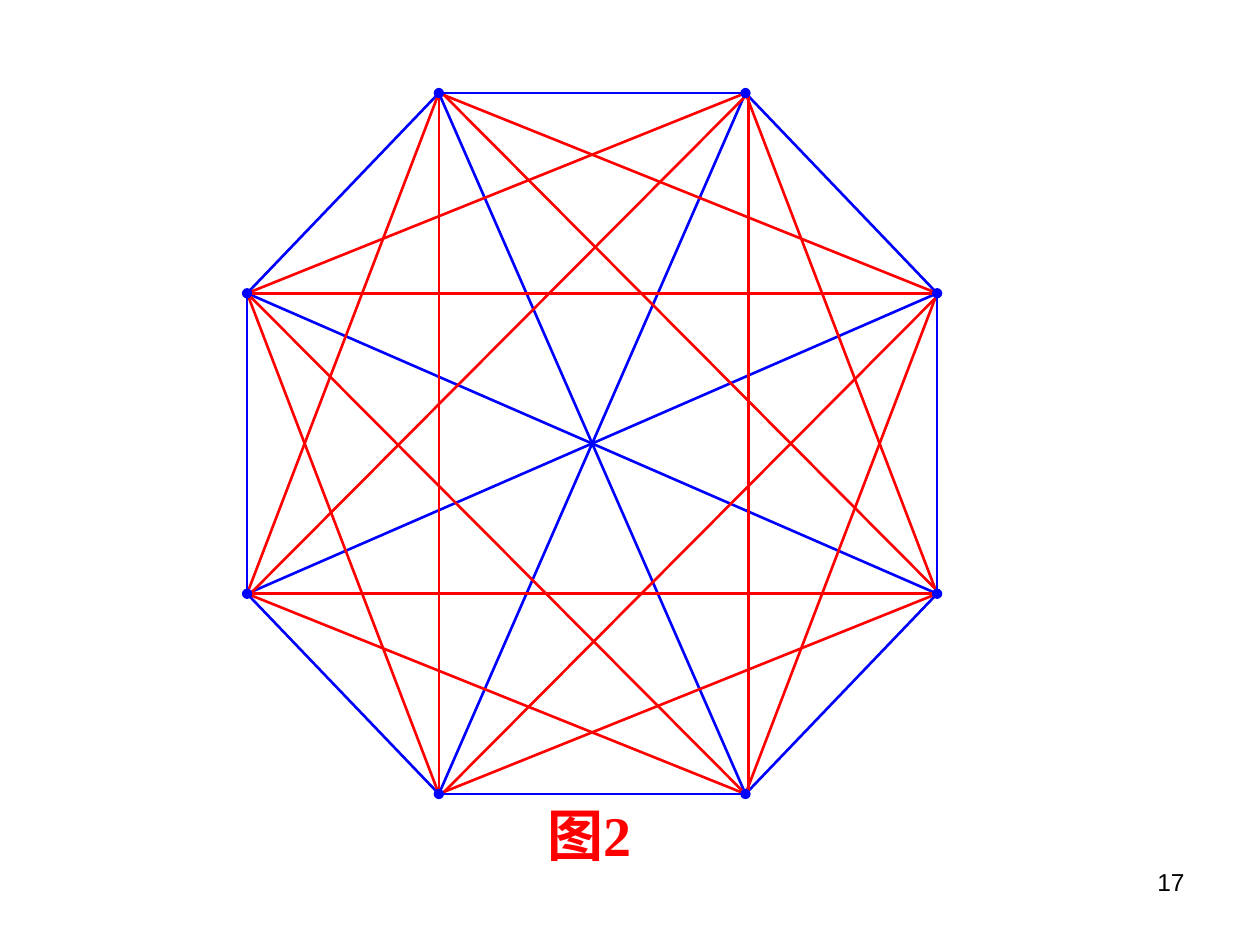
from itertools import combinations

from lxml import etree
from pptx import Presentation
from pptx.dml.color import RGBColor
from pptx.enum import shapes, text
from pptx.oxml import ns
from pptx.util import Pt

COLORS = {"blue": "0000FF", "red": "FF0000", "black": "000000"}
X = (141.2, 250.8, 426, 535.5)
Y = (53.2, 167.6, 339.3, 453.7)
VERTICES = [(X[column], Y[row]) for column, row in
            ((1, 0), (2, 0), (3, 1), (3, 2), (2, 3), (1, 3), (0, 2), (0, 1))]
SHIFTED_CHORDS = {(0, 3), (1, 4), (1, 6), (2, 5), (2, 7)}
SHIFT = 1.8


def add_edge(container, start, end, color, dotted=False):
    """Draw one graph edge, with round vertex dots at its ends if dotted."""
    edge = container.add_connector(shapes.MSO_CONNECTOR.STRAIGHT,
                                   *(Pt(value) for value in (*start, *end)))
    edge.line.color.rgb = RGBColor.from_string(COLORS[color])
    edge.line.width = Pt(1.5)
    if dotted:
        line = edge.line._get_or_add_ln()
        for tag in ("a:headEnd", "a:tailEnd"):
            etree.SubElement(line, ns.qn(tag), type="oval", w="med", len="med")
    etree.SubElement(edge._element.spPr, ns.qn("a:effectLst"))


def add_label(container, box, wording, font, size, color, alignment, bold=False):
    """Add a one-line text box."""
    label = container.add_textbox(*(Pt(value) for value in box))
    label.text_frame.word_wrap = True
    paragraph = label.text_frame.paragraphs[0]
    paragraph.alignment = alignment
    run = paragraph.add_run()
    run.text = wording
    run.font.name = font
    run.font.size = Pt(size)
    run.font.bold = bold
    run.font.color.rgb = RGBColor.from_string(COLORS[color])


def add_graph(container):
    """Draw the complete graph: sides and diameters blue, other chords red."""
    layers = {"slanted": [], "chord": [], "straight": []}
    for first, second in combinations(range(len(VERTICES)), 2):
        start, end = VERTICES[first], VERTICES[second]
        steps = min(second - first, len(VERTICES) - second + first)
        if steps in (2, 3):
            layer = "chord"
        elif steps == 1 and (start[0] == end[0] or start[1] == end[1]):
            layer = "straight"
        else:
            layer = "slanted"
        if (first, second) in SHIFTED_CHORDS:
            start, end = ((x + SHIFT, y) for x, y in (start, end))
        layers[layer].append((start, end))
    for layer, edges in layers.items():
        color = "red" if layer == "chord" else "blue"
        for start, end in edges:
            add_edge(container, start, end, color, layer == "straight")


def main():
    """Build the slide and save it."""
    presentation = Presentation()
    presentation.slide_width, presentation.slide_height = Pt(720), Pt(540)
    slide = presentation.slides.add_slide(presentation.slide_layouts[6])
    add_label(slide.shapes, (516, 492, 168, 37.5), "17", "Arial", 14,
              "black", text.PP_ALIGN.RIGHT)
    figure = slide.shapes.add_group_shape().shapes
    add_graph(figure)
    add_label(figure, (305.5, 453.7, 98.5, 70.5), "图2", "Times New Roman", 32,
              "red", text.PP_ALIGN.JUSTIFY, bold=True)
    presentation.save("out.pptx")


if __name__ == "__main__":
    main()
